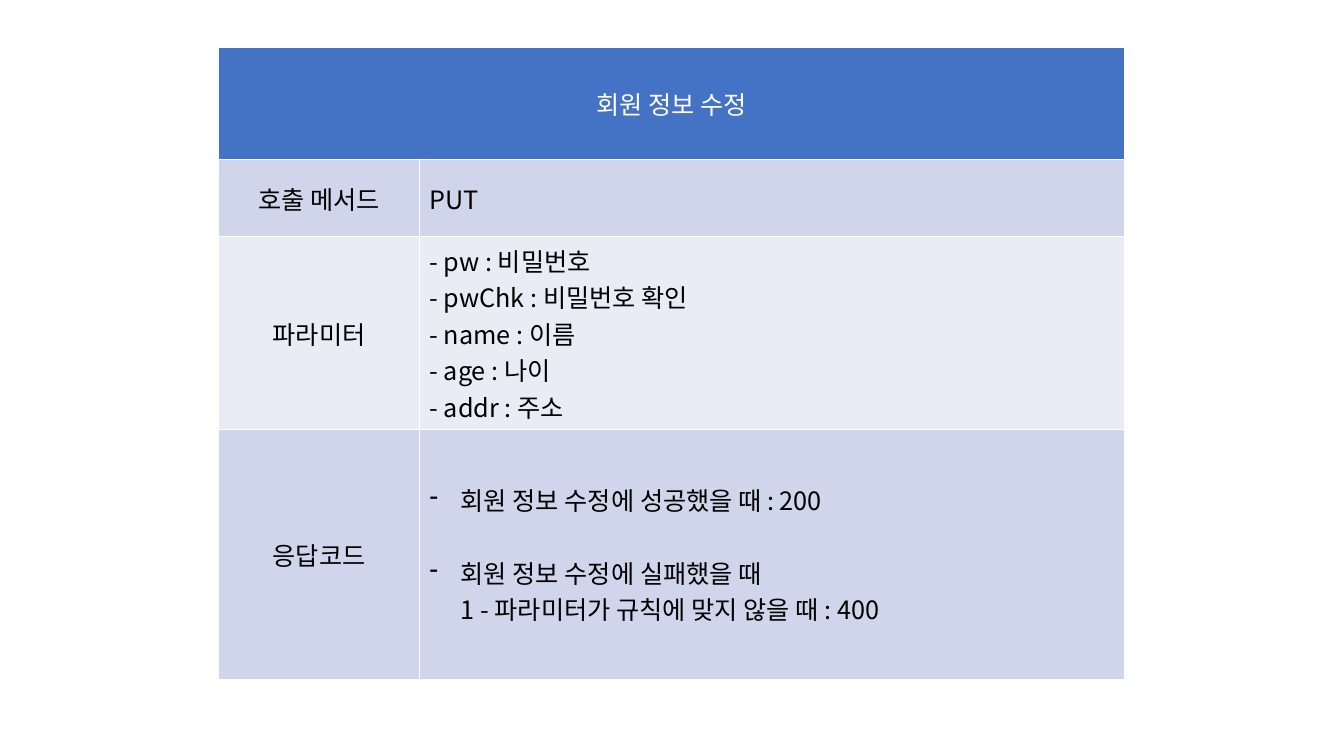
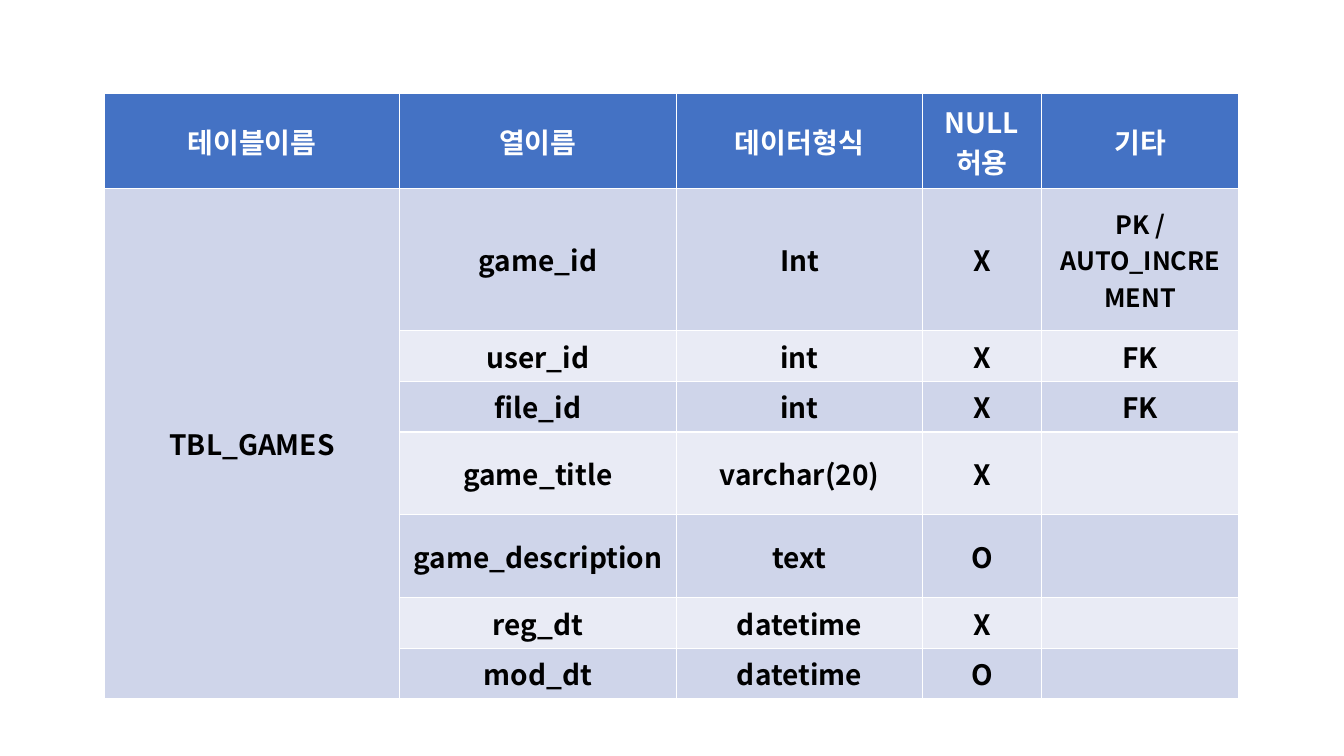
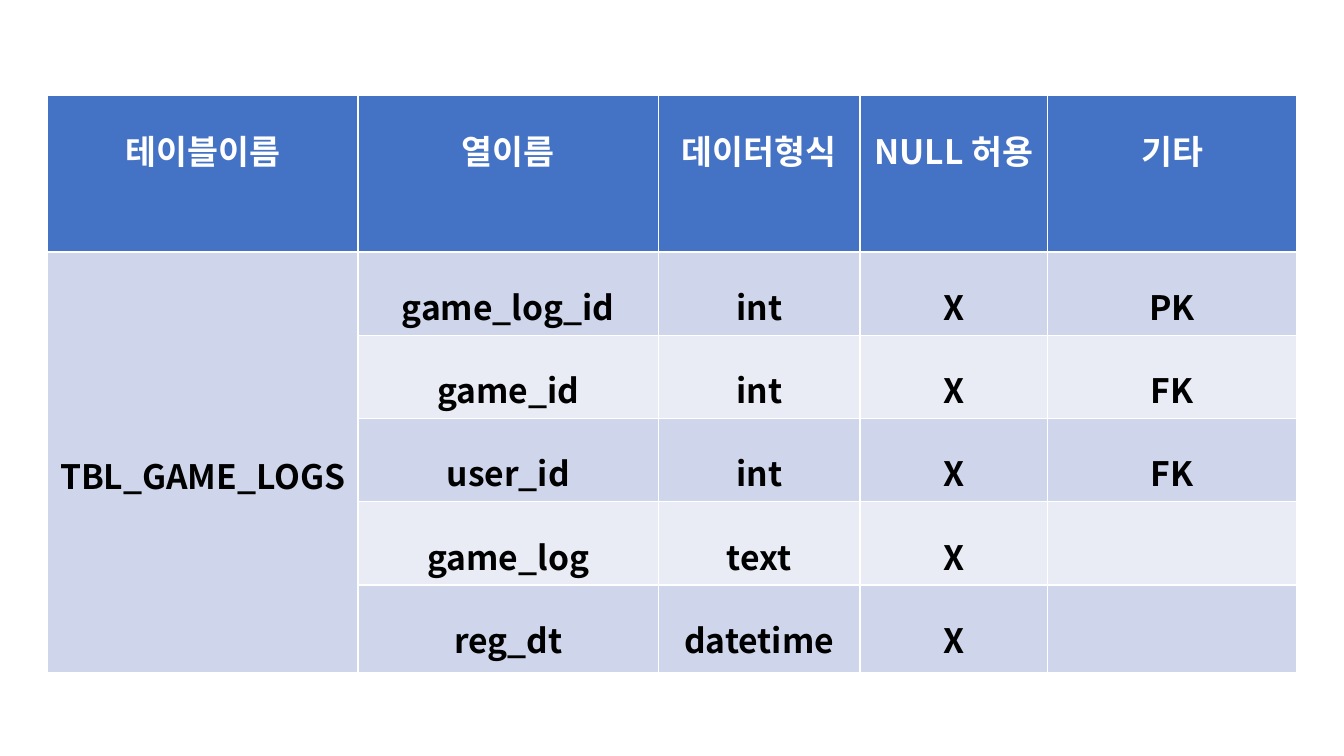
from lxml import etree
from pptx import Presentation
from pptx.dml.color import RGBColor
from pptx.enum.text import MSO_ANCHOR, PP_ALIGN
from pptx.oxml.ns import qn
from pptx.util import Inches, Pt

CENTER, LEFT = PP_ALIGN.CENTER, PP_ALIGN.LEFT
MIDDLE, TOP = MSO_ANCHOR.MIDDLE, MSO_ANCHOR.TOP
FONT = "Noto Sans CJK KR"
WHITE = RGBColor(0xFF, 0xFF, 0xFF)
BLACK = RGBColor(0x00, 0x00, 0x00)
HEADER_BLUE = RGBColor(0x44, 0x72, 0xC4)
BANDS = (RGBColor(0xE9, 0xEB, 0xF5), RGBColor(0xCF, 0xD5, 0xEA))
BULLET_INDENT = Inches(0.31)


def add_banded_table(slide, left, top, columns, rows):
    frame = slide.shapes.add_table(
        len(rows), len(columns), Inches(left), Inches(top),
        Inches(sum(columns)), Inches(sum(rows)))
    table = frame.table
    for column, width in zip(table.columns, columns):
        column.width = Inches(width)
    for index, (row, height) in enumerate(zip(table.rows, rows)):
        row.height = Inches(height)
        for cell in row.cells:
            cell.fill.solid()
            cell.fill.fore_color.rgb = BANDS[index % 2] if index else HEADER_BLUE
    return table


def format_run(run, size, color, bold):
    run.font.size = Pt(size)
    run.font.bold = bold
    run.font.color.rgb = color
    run.font.name = FONT
    east_asian = etree.SubElement(run.font._element, qn("a:ea"))
    east_asian.set("typeface", FONT)


def write_cell(cell, text, size, color=BLACK, bold=False, align=CENTER,
               anchor=MIDDLE, spacing=None):
    cell.vertical_anchor = anchor
    if not text:
        return
    cell.text_frame.text = text
    for paragraph in cell.text_frame.paragraphs:
        paragraph.alignment = align
        if spacing:
            paragraph.line_spacing = spacing
        for run in paragraph.runs:
            format_run(run, size, color, bold)


def add_dash(paragraph):
    properties = paragraph._p.get_or_add_pPr()
    properties.set("marL", str(BULLET_INDENT))
    properties.set("indent", str(-BULLET_INDENT))
    etree.SubElement(properties, qn("a:buChar")).set("char", "-")


def add_api_slide(deck, title, entries, heights):
    slide = deck.slides.add_slide(deck.slide_layouts[6])
    table = add_banded_table(slide, 2.17, 0.47, (1.99, 6.99), heights)
    table.cell(0, 0).merge(table.cell(0, 1))
    write_cell(table.cell(0, 0), title, 18, WHITE)
    for row, (label, details) in enumerate(entries, 1):
        write_cell(table.cell(row, 0), label, 18)
        write_cell(table.cell(row, 1), details, 18, align=LEFT)
    responses = table.cell(len(entries), 1).text_frame.paragraphs
    for response in responses:
        add_dash(response)
    for response in responses[1:]:
        response.space_before = Pt(26)


def add_schema_slide(deck, origin, columns, heights, headings, table_name,
                     fields, size, anchor=MIDDLE, spacing=None, small=()):
    slide = deck.slides.add_slide(deck.slide_layouts[6])
    table = add_banded_table(slide, *origin, columns, heights)
    for column, heading in enumerate(headings):
        write_cell(table.cell(0, column), heading, size, WHITE, True,
                   anchor=anchor, spacing=spacing)
    table.cell(1, 0).merge(table.cell(len(fields), 0))
    write_cell(table.cell(1, 0), table_name, size, bold=True, spacing=spacing)
    for row, field in enumerate(fields, 1):
        for column, value in enumerate(field, 1):
            write_cell(table.cell(row, column), value,
                       18 if value in small else size, bold=True,
                       anchor=anchor, spacing=spacing)


def main():
    deck = Presentation()
    deck.slide_width, deck.slide_height = Inches(13.33), Inches(7.5)

    add_api_slide(deck, "회원 정보 수정", (
        ("호출 메서드", "PUT"),
        ("파라미터", "- pw : 비밀번호\n- pwChk : 비밀번호 확인\n- name : 이름\n"
                 "- age : 나이\n- addr : 주소"),
        ("응답코드", "회원 정보 수정에 성공했을 때 : 200\n"
                 "회원 정보 수정에 실패했을 때\v1 - 파라미터가 규칙에 맞지 않을 때 : 400"),
    ), (1.11, 0.77, 1.33, 2.48))

    auto_key = "PK / AUTO_INCREMENT"
    add_schema_slide(
        deck, (1.04, 0.93), (2.92, 2.75, 2.44, 1.18, 1.96),
        (0.94, 1.41, 0.41, 0.41, 0.82, 0.82, 0.41, 0.41),
        ("테이블이름", "열이름", "데이터형식", "NULL허용", "기타"), "TBL_GAMES", (
            ("game_id", "Int", "X", auto_key),
            ("user_id", "int", "X", "FK"),
            ("file_id", "int", "X", "FK"),
            ("game_title", "varchar(20)", "X", ""),
            ("game_description", "text", "O", ""),
            ("reg_dt", "datetime", "X", ""),
            ("mod_dt", "datetime", "O", ""),
        ), 20, small=(auto_key,))

    add_schema_slide(
        deck, (0.47, 0.95), (3.08, 2.98, 2, 1.86, 2.47),
        (0.84, 0.75, 0.75, 0.81, 0.69, 0.87),
        ("테이블이름", "열이름", "데이터형식", "NULL 허용", "기타"), "TBL_GAME_LOGS", (
            ("game_log_id", "int", "X", "PK"),
            ("game_id", "int", "X", "FK"),
            ("user_id", "int", "X", "FK"),
            ("game_log", "text", "X", ""),
            ("reg_dt", "datetime", "X", ""),
        ), 24, anchor=TOP, spacing=1.5)

    deck.save("out.pptx")


if __name__ == "__main__":
    main()
